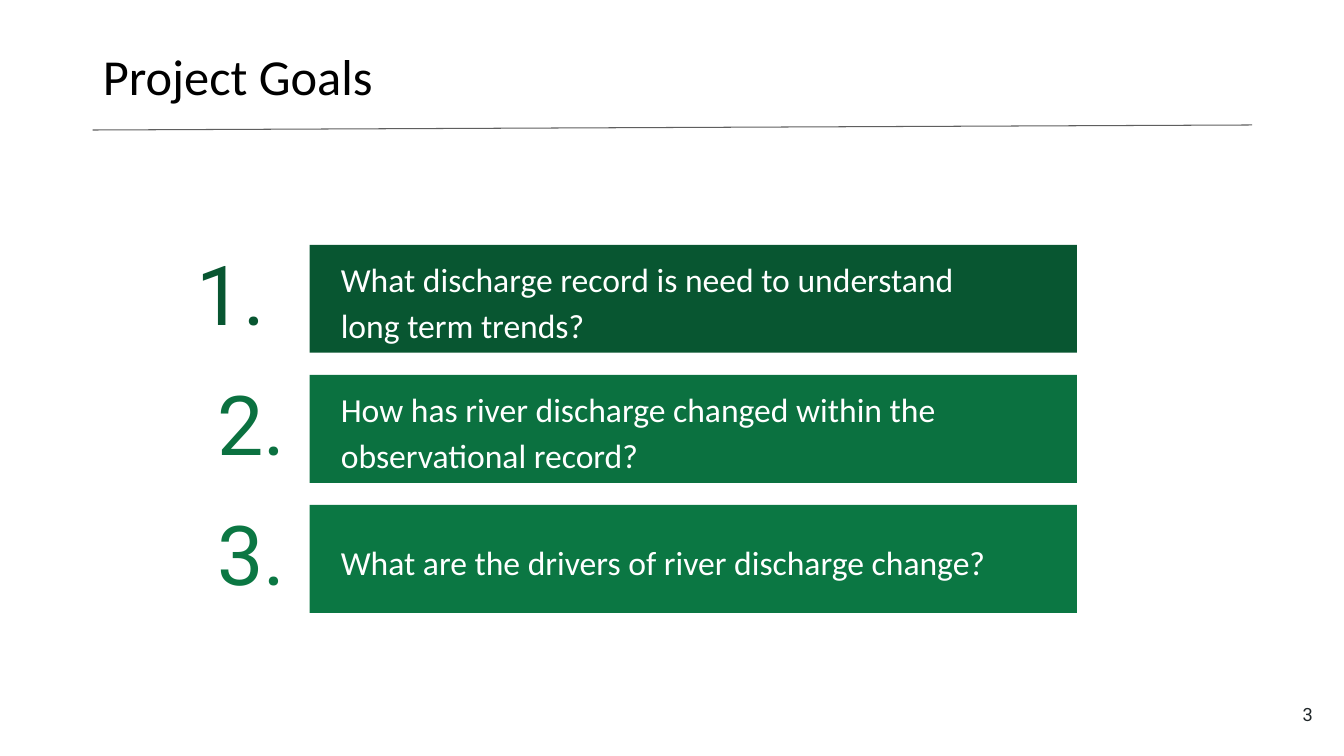
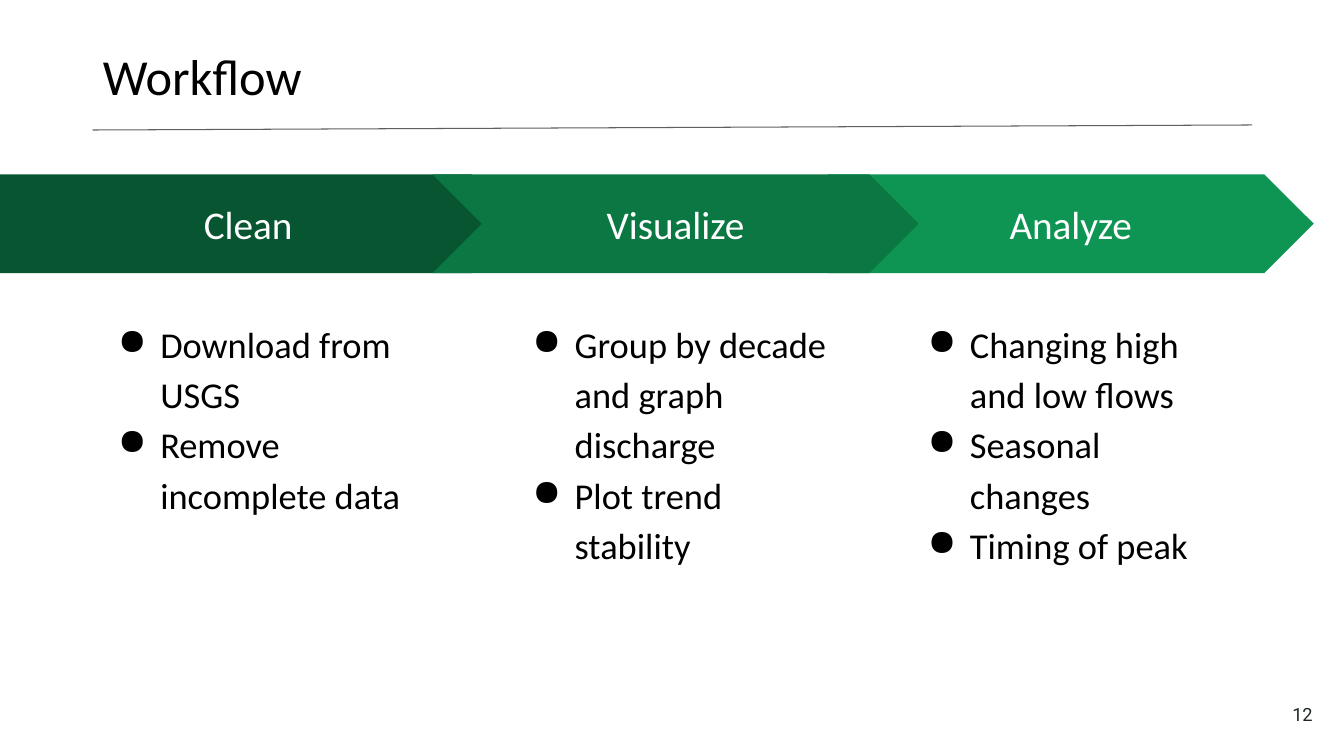
from lxml import etree
from pptx import Presentation
from pptx import util as u
from pptx.dml.color import RGBColor
from pptx.enum import shapes, text
from pptx.oxml.ns import qn

PX = 9144  # 100 px to the inch
BLACK, WHITE, RULE, PAGE = "000000", "FFFFFF", "5F5F5F", "202729"
DARK, DEEP, MID, BRIGHT = "085631", "0B7140", "0B7743", "0E9453"
BODY_FONT, NUMBER_FONT = "Calibri", "Roboto"
LEFT, CENTER, RIGHT = text.PP_ALIGN.LEFT, text.PP_ALIGN.CENTER, text.PP_ALIGN.RIGHT
TOP, MIDDLE = text.MSO_ANCHOR.TOP, text.MSO_ANCHOR.MIDDLE

GOALS = [
    ("1. ", "What discharge record is need to understand long term trends?", DARK),
    ("2.", "How has river discharge changed within the observational record?", DEEP),
    ("3.", "What are the drivers of river discharge change?", MID),
]
PLATE, CHEVRON = shapes.MSO_SHAPE.PENTAGON, shapes.MSO_SHAPE.CHEVRON
# Back to front: name, colour, outline, arrow left, arrow width, list left, items
STEPS = [
    ("Analyze", BRIGHT, CHEVRON, 821, 482, 899,
     ["Changing high and low flows", "Seasonal changes", "Timing of peak"]),
    ("Clean", DARK, PLATE, 0, 517, 96,
     ["Download from USGS", "Remove incomplete data"]),
    ("Visualize", MID, CHEVRON, 429, 482, 507,
     ["Group by decade and graph discharge", "Plot trend stability"]),
]


def px(*lengths):
    return [u.Emu(n * PX) for n in lengths]


def rgb(color):
    return RGBColor.from_string(color)


def add_bullet(p):
    pPr = p._p.get_or_add_pPr()
    pPr.set("marL", str(50 * PX))
    pPr.set("indent", str(-42 * PX))
    bu_clr = etree.SubElement(pPr, qn("a:buClr"))
    etree.SubElement(bu_clr, qn("a:srgbClr"), val=BLACK)
    etree.SubElement(pPr, qn("a:buChar"), char="●")


def write(sp, *lines, size, color=BLACK, font=BODY_FONT, align=LEFT, anchor=MIDDLE,
          spacing=None, insets=(13, 13, 13, 13), bullets=False):
    """Fill a shape with one paragraph per line; insets run left, top, right, bottom."""
    tf = sp.text_frame
    tf.word_wrap = True
    tf.auto_size = text.MSO_AUTO_SIZE.NONE
    tf.vertical_anchor = anchor
    tf.margin_left, tf.margin_top, tf.margin_right, tf.margin_bottom = px(*insets)
    for i, line in enumerate(lines):
        p = tf.add_paragraph() if i else tf.paragraphs[0]
        p.alignment = align
        if spacing:
            p.line_spacing = spacing
        if bullets:
            add_bullet(p)
        r = p.add_run()
        r.text = line
        r.font.size, r.font.name = u.Pt(size), font
        r.font.color.rgb = rgb(color)


def add_text(s, box, *lines, **fmt):
    write(s.shapes.add_textbox(*px(*box)), *lines, **fmt)


def add_block(s, kind, box, fill):
    sp = s.shapes.add_shape(kind, *px(*box))
    sp.shadow.inherit = False
    sp.fill.solid()
    sp.fill.fore_color.rgb = rgb(fill)
    sp.line.fill.background()
    return sp


def add_rule(s, start, end):
    line = s.shapes.add_connector(shapes.MSO_CONNECTOR.STRAIGHT, *px(*start, *end))
    line.line.color.rgb = rgb(RULE)
    line.line.width = u.Pt(0.75)
    etree.SubElement(line._element.spPr, qn("a:effectLst"))


def add_titled_slide(prs, title, page):
    s = prs.slides.add_slide(prs.slide_layouts[5])
    sp = s.shapes.title
    sp.left, sp.top, sp.width, sp.height = px(92, 40, 1150, 95)
    write(sp, title, size=36, anchor=TOP, insets=(10, 5, 10, 5))
    add_rule(s, (92, 129), (1242, 124))
    add_text(s, (1235, 680, 80, 57), page, size=13, color=PAGE, font=NUMBER_FONT,
             align=RIGHT)
    return s


def add_goal(s, box, number, question, color):
    """Draw a coloured band with its number in the margin to the left."""
    x, y, w, h = box
    add_text(s, (4, y + 7, x - 15, h - 15), number, size=59, color=color,
             font=NUMBER_FONT, align=RIGHT, spacing=0.9, insets=(13, 7, 13, 7))
    band = add_block(s, shapes.MSO_SHAPE.RECTANGLE, box, color)
    write(band, question, size=24, color=WHITE, spacing=1.15, insets=(31, 0, 61, 0))


def add_step(s, box, list_left, kind, name, color, items):
    """Draw an arrow with its bullet list below."""
    y, h = box[1], box[3]
    arrow = add_block(s, kind, box, color)
    arrow.adjustments[0] = 0.5
    write(arrow, name, size=28, color=WHITE, align=CENTER)
    add_text(s, (list_left, y + h + 29, 326, 381), *items, size=26, anchor=TOP,
             spacing=1.15, bullets=True)


def build_goals(prs):
    s = add_titled_slide(prs, "Project Goals", "3")
    for i, (number, question, color) in enumerate(GOALS):
        add_goal(s, (307, 243 + 129 * i, 761, 107), number, question, color)


def build_workflow(prs):
    s = add_titled_slide(prs, "Workflow", "12")
    for name, color, kind, left, width, list_left, items in STEPS:
        add_step(s, (left, 173, width, 98), list_left, kind, name, color, items)


def main():
    prs = Presentation()
    prs.slide_width, prs.slide_height = px(1333, 750)
    build_goals(prs)
    build_workflow(prs)
    prs.save("out.pptx")


if __name__ == "__main__":
    main()
